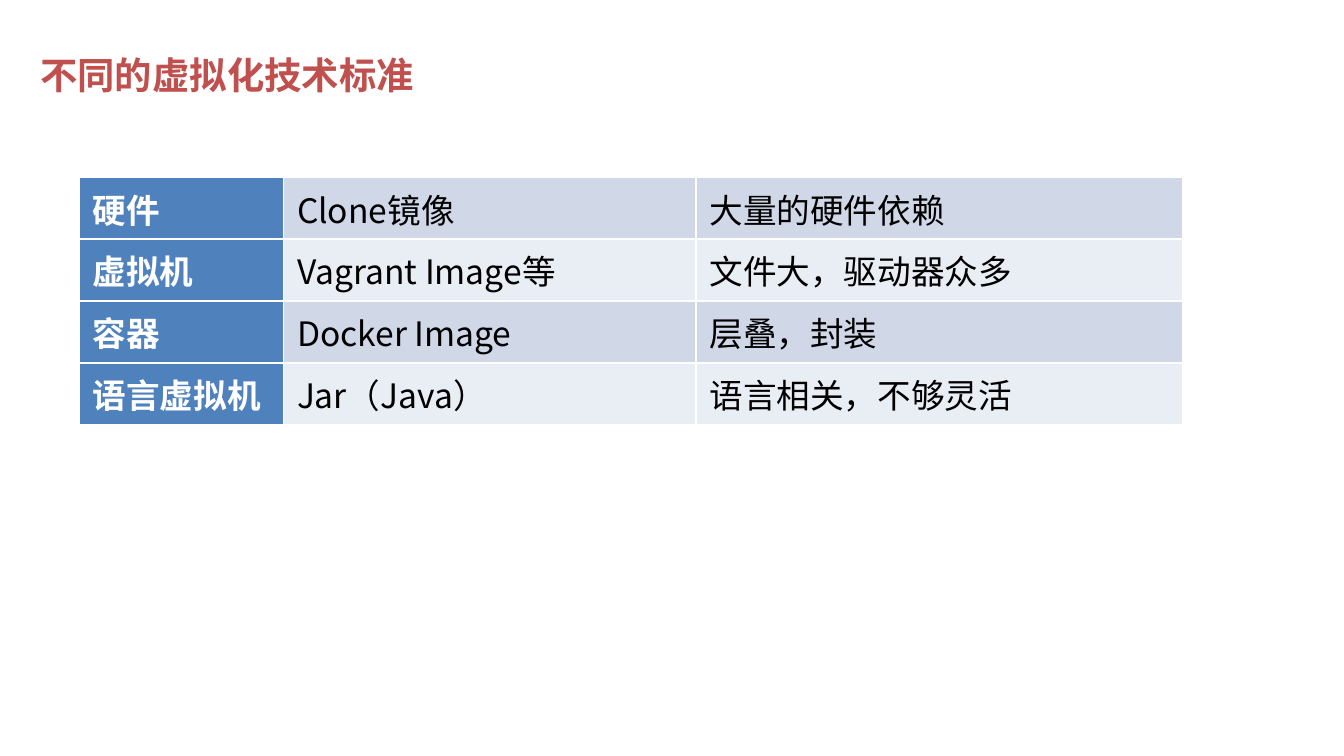
"""Build a slide with a table that compares virtualization standards."""
from lxml import etree
from pptx import Presentation
from pptx.dml.color import RGBColor
from pptx.enum.text import MSO_ANCHOR
from pptx.oxml.ns import qn
from pptx.util import Inches, Pt

BOTTOM = MSO_ANCHOR.BOTTOM
FONT = "Noto Sans CJK SC"

TITLE = "不同的虚拟化技术标准"
ROWS = [
    ("硬件", "Clone镜像", "大量的硬件依赖"),
    ("虚拟机", "Vagrant Image等", "文件大，驱动器众多"),
    ("容器", "Docker Image", "层叠，封装"),
    ("语言虚拟机", "Jar（Java）", "语言相关，不够灵活"),
]
COLUMN_WIDTHS = [1.52, 3.07, 3.62]
ROW_HEIGHT = 0.46
HEADER_FILL = "4F81BD"
BAND_FILLS = ["D0D8E8", "E9EDF4"]
BORDER_COLOR = "FFFFFF"

TITLE_FORMAT = {"size": Pt(20), "bold": True, "name": FONT}
HEADER_FORMAT = {"size": Pt(18), "bold": True, "name": FONT}
BODY_FORMAT = {"size": Pt(18), "bold": False, "name": FONT}


def color(value):
    return RGBColor.from_string(value)


def write_text(text_frame, text, font_format, text_color):
    run = text_frame.paragraphs[0].add_run()
    run.text = text
    for name, value in font_format.items():
        setattr(run.font, name, value)
    run.font.color.rgb = color(text_color)
    etree.SubElement(run.font._element, qn("a:ea"), typeface=FONT)


def add_borders(cell):
    properties = cell._tc.get_or_add_tcPr()
    for side in ("lnL", "lnR", "lnT", "lnB"):
        line = etree.SubElement(properties, qn(f"a:{side}"), w=str(Pt(1)))
        fill = etree.SubElement(line, qn("a:solidFill"))
        etree.SubElement(fill, qn("a:srgbClr"), val=BORDER_COLOR)


def fill_cell(cell, text, row, column):
    is_header = column == 0
    add_borders(cell)
    cell.fill.solid()
    cell.fill.fore_color.rgb = color(HEADER_FILL if is_header else BAND_FILLS[row % 2])
    write_text(cell.text_frame, text,
               HEADER_FORMAT if is_header else BODY_FORMAT,
               "FFFFFF" if is_header else "000000")


def main():
    presentation = Presentation()
    presentation.slide_width = Inches(10)
    presentation.slide_height = Inches(10 * 9 / 16)
    slide = presentation.slides.add_slide(presentation.slide_layouts[6])

    title = slide.shapes.add_textbox(Inches(0.2), Inches(0.18), Inches(9.65), Inches(0.59))
    title.text_frame.word_wrap = True
    title.text_frame.vertical_anchor = BOTTOM
    write_text(title.text_frame, TITLE, TITLE_FORMAT, "C0504D")

    table = slide.shapes.add_table(
        len(ROWS), len(COLUMN_WIDTHS), Inches(0.59), Inches(1.32),
        Inches(sum(COLUMN_WIDTHS)), Inches(ROW_HEIGHT * len(ROWS))).table
    table.first_row = False
    table.first_col = True
    for column, width in zip(table.columns, COLUMN_WIDTHS):
        column.width = Inches(width)
    for row, texts in enumerate(ROWS):
        table.rows[row].height = Inches(ROW_HEIGHT)
        for column, text in enumerate(texts):
            fill_cell(table.cell(row, column), text, row, column)

    presentation.save("out.pptx")


if __name__ == "__main__":
    main()
